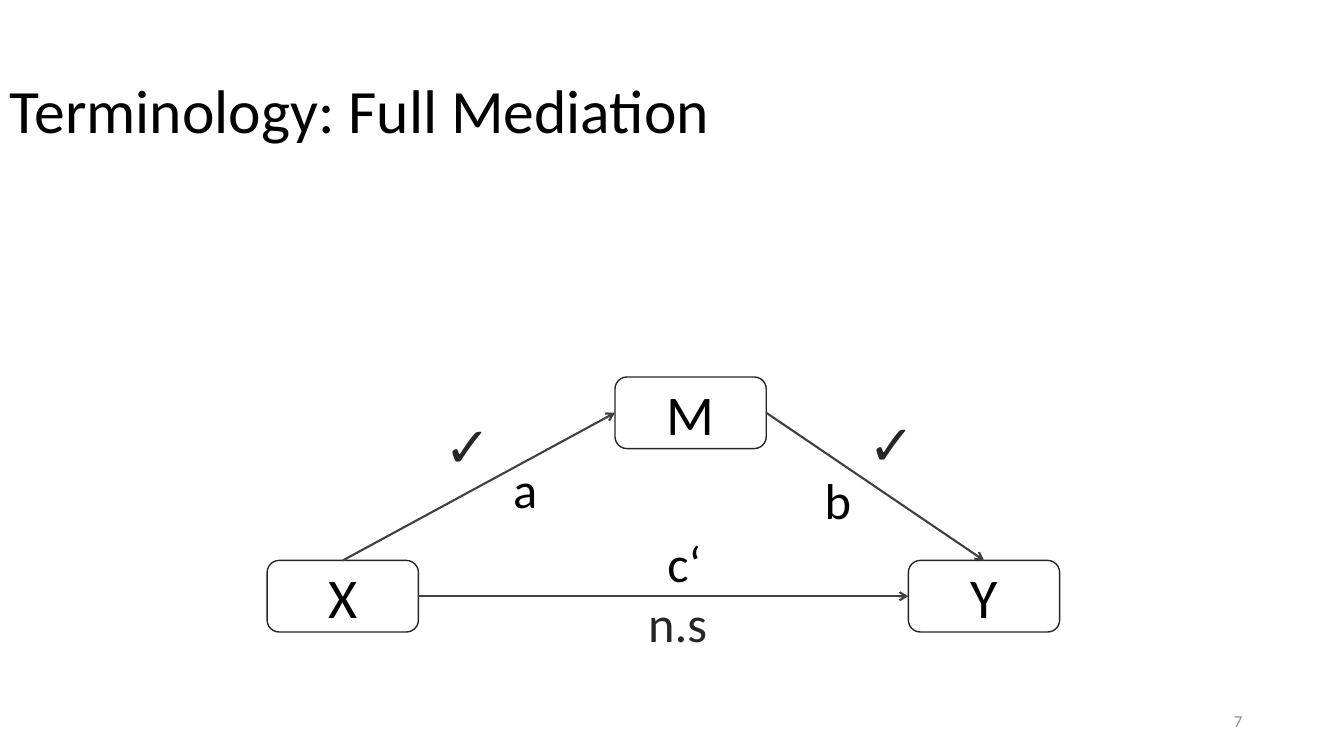
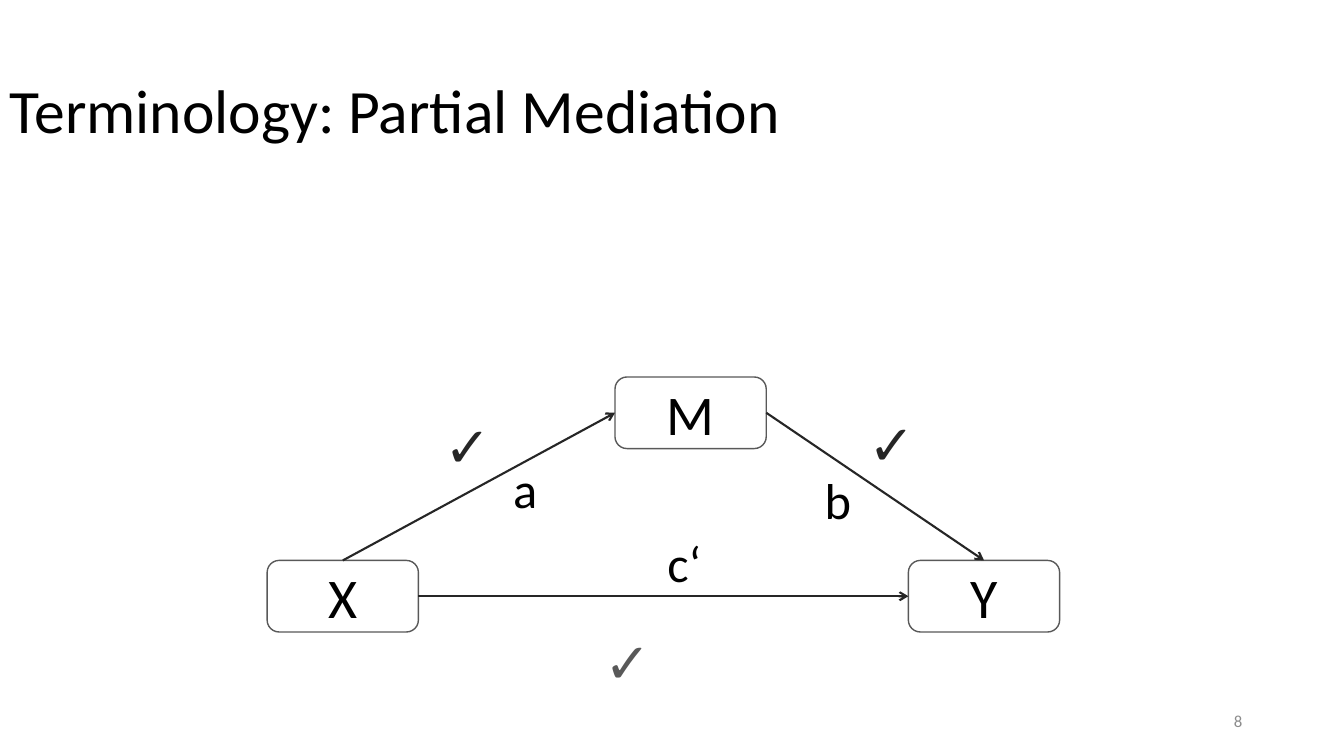
from dataclasses import dataclass

from lxml.etree import SubElement
from pptx import Presentation
from pptx.dml.color import RGBColor
from pptx.enum.shapes import MSO_CONNECTOR as CONN, MSO_SHAPE as SHAPE
from pptx.enum.text import MSO_ANCHOR as ANCHOR, MSO_AUTO_SIZE as AUTO, PP_ALIGN as ALIGN
from pptx.oxml.ns import qn
from pptx.util import Pt

EMU_PER_PX = 9144  # 100 px to the inch
TOP, LEFT, RIGHT = 0, 1, 3  # connection sites of a rounded rectangle


@dataclass(frozen=True)
class Theme:
    font: str = "Calibri"
    black: str = "000000"
    dark: str = "262626"
    mid: str = "404040"
    light: str = "595959"
    footer: str = "8C8C8C"
    title_pt: int = 44
    node_pt: int = 40
    label_pt: int = 36
    footer_pt: int = 12
    box_line_pt: float = 1
    arrow_line_pt: float = 1.5


T = Theme()


@dataclass(frozen=True)
class Node:
    name: str
    x: int
    y: int
    w: int = 150
    h: int = 71


@dataclass(frozen=True)
class Path:
    start: str
    start_site: int
    end: str
    end_site: int


@dataclass(frozen=True)
class Label:
    text: str
    x: int
    y: int
    w: int
    h: int = 71
    size: int = T.label_pt
    color: str = T.black
    wrap: bool = False


@dataclass(frozen=True)
class Diagram:
    title: str
    number: int
    box_color: str
    arrow_color: str
    verdict: Label


def check(x: int, y: int, color: str = T.dark) -> Label:
    """A tick marking a significant path."""
    return Label("✓", x, y, 90, 77, T.node_pt, color, True)


NODES = (Node("X", 265, 556), Node("M", 610, 374), Node("Y", 901, 556))
PATHS = (
    Path("X", TOP, "M", LEFT),
    Path("X", RIGHT, "Y", LEFT),
    Path("M", RIGHT, "Y", TOP),
)
LABELS = (
    Label("a", 499, 450, 44),
    Label("b", 808, 460, 47),
    Label("c‘", 652, 523, 54),
    check(431, 403),
    check(852, 401),
)
DIAGRAMS = (
    Diagram("Terminology: Full Mediation", 7, T.dark, T.mid,
            Label("n.s", 633, 582, 217, color=T.dark, wrap=True)),
    Diagram("Terminology: Partial Mediation", 8, T.light, T.dark,
            check(590, 618, T.light)),
)


def px(*lengths: int) -> list[int]:
    return [n * EMU_PER_PX for n in lengths]


def rgb(color: str) -> RGBColor:
    return RGBColor.from_string(color)


def put_text(sp, text: str, *, size: int, color: str = T.black, align=ALIGN.LEFT,
             anchor=ANCHOR.TOP, spacing: float = 1.0, wrap: bool = True,
             grow: bool = False) -> None:
    tf = sp.text_frame
    tf.word_wrap = wrap
    tf.auto_size = AUTO.SHAPE_TO_FIT_TEXT if grow else AUTO.NONE
    tf.vertical_anchor = anchor
    p = tf.paragraphs[0]
    p.alignment = align
    p.line_spacing = spacing
    r = p.add_run()
    r.text = text
    r.font.name = T.font
    r.font.size = Pt(size)
    r.font.color.rgb = rgb(color)


def draw_node(shapes, node: Node, color: str):
    sp = shapes.add_shape(SHAPE.ROUNDED_RECTANGLE, *px(node.x, node.y, node.w, node.h))
    sp.shadow.inherit = False
    sp.fill.background()
    sp.line.color.rgb = rgb(color)
    sp.line.width = Pt(T.box_line_pt)
    put_text(sp, node.name, size=T.node_pt, align=ALIGN.CENTER, anchor=ANCHOR.MIDDLE)
    return sp


def draw_path(shapes, path: Path, boxes: dict, color: str) -> None:
    """Glue an arrow to the named sites of two node boxes."""
    cxn = shapes.add_connector(CONN.STRAIGHT, 0, 0, 0, 0)
    cxn.begin_connect(boxes[path.start], path.start_site)
    cxn.end_connect(boxes[path.end], path.end_site)
    cxn.line.color.rgb = rgb(color)
    cxn.line.width = Pt(T.arrow_line_pt)
    SubElement(cxn.line._get_or_add_ln(), qn("a:tailEnd"), type="arrow")
    SubElement(cxn._element.spPr, qn("a:effectLst"))


def draw_label(shapes, label: Label) -> None:
    sp = shapes.add_textbox(*px(label.x, label.y, label.w, label.h))
    put_text(sp, label.text, size=label.size, color=label.color,
             wrap=label.wrap, grow=True)


def draw_frame(s, title: str, number: int) -> None:
    """Slide number and title, the same on every slide."""
    put_text(s.shapes.add_textbox(*px(942, 695, 300, 40)), str(number),
             size=T.footer_pt, color=T.footer, align=ALIGN.RIGHT, anchor=ANCHOR.MIDDLE)
    put_text(s.shapes.add_textbox(*px(0, 40, 1150, 145)), title,
             size=T.title_pt, anchor=ANCHOR.MIDDLE, spacing=0.9)


def draw_slide(prs, diagram: Diagram) -> None:
    s = prs.slides.add_slide(prs.slide_layouts[6])
    draw_frame(s, diagram.title, diagram.number)
    shapes = s.shapes.add_group_shape().shapes
    boxes = {n.name: draw_node(shapes, n, diagram.box_color) for n in NODES}
    for path in PATHS:
        draw_path(shapes, path, boxes, diagram.arrow_color)
    for label in (*LABELS, diagram.verdict):
        draw_label(shapes, label)


def main() -> None:
    prs = Presentation()
    prs.slide_width, prs.slide_height = px(1333, 750)
    for diagram in DIAGRAMS:
        draw_slide(prs, diagram)
    prs.save("out.pptx")


if __name__ == "__main__":
    main()
